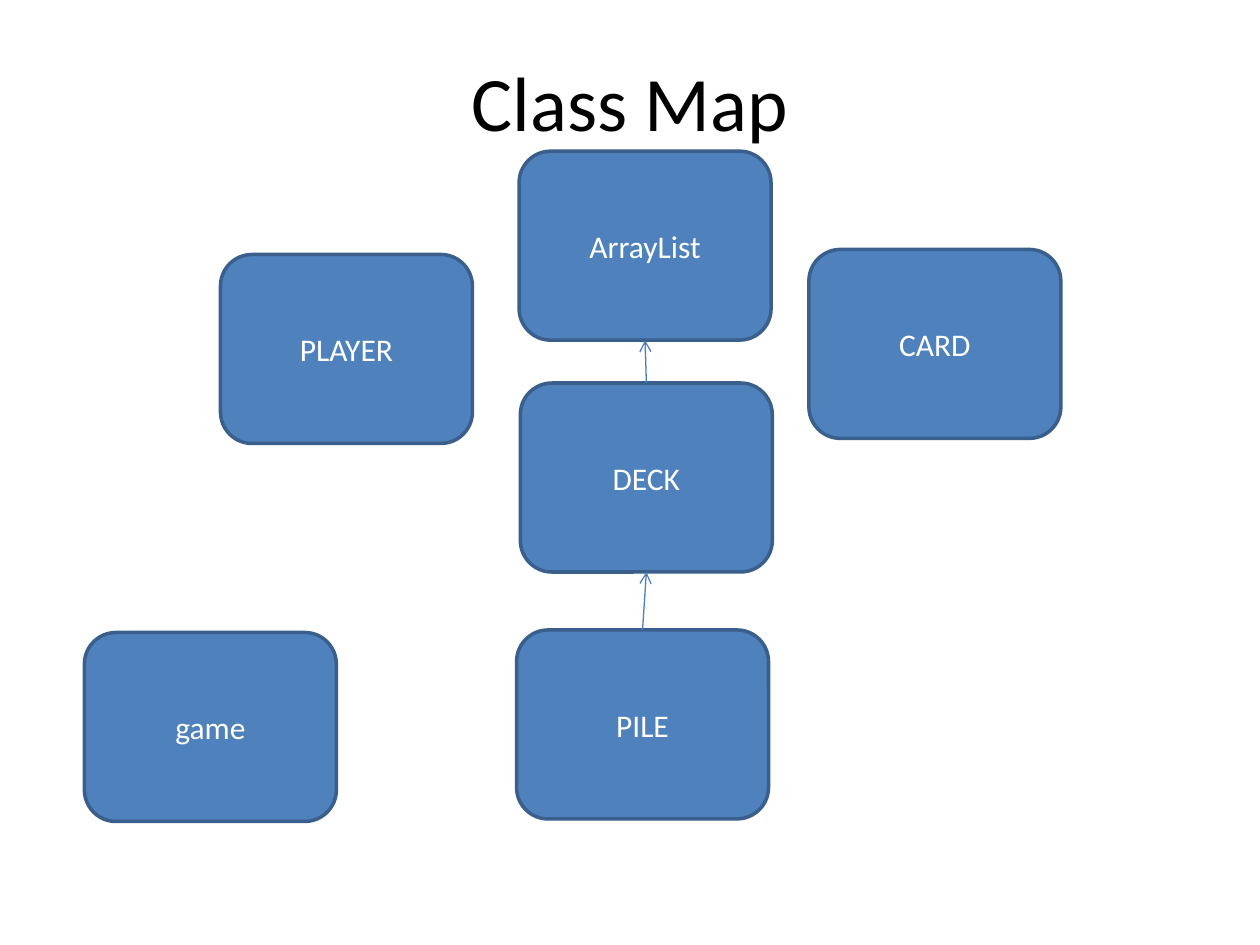
from pptx import Presentation
from pptx import util as u
from pptx.dml.color import RGBColor
from pptx.enum import shapes, text
from pptx.oxml.ns import qn
from lxml import etree

TITLE = "Class Map"
CLASSES = {  # name: (left, top) in inches
    "DECK": (4.13, 3.04),
    "PLAYER": (1.75, 2.02),
    "CARD": (6.42, 1.98),
    "PILE": (4.1, 5),
    "ArrayList": (4.12, 1.2),
    "game": (0.67, 5.02),
}
PARENTS = [("DECK", "ArrayList"), ("PILE", "DECK")]
BOX = u.Inches(2), u.Inches(1.5)
TOP, BOTTOM = 0, 2  # connection sites

FONT = "Calibri"
BLUE = RGBColor(0x4F, 0x81, 0xBD)
EDGE = RGBColor(0x3A, 0x5F, 0x8C)
LINK = RGBColor(0x4B, 0x7E, 0xBC)
WHITE = RGBColor(0xFF, 0xFF, 0xFF)
BLACK = RGBColor(0, 0, 0)


def write(shape, words, size, color):
    """Put one centred line of text in a shape."""
    frame = shape.text_frame
    frame.word_wrap = True
    frame.vertical_anchor = text.MSO_ANCHOR.MIDDLE
    para = frame.paragraphs[0]
    para.text = words
    para.alignment = text.PP_ALIGN.CENTER
    para.font.name = FONT
    para.font.size = u.Pt(size)
    para.font.color.rgb = color


def add_class(slide, name, left, top):
    box = slide.shapes.add_shape(
        shapes.MSO_SHAPE.ROUNDED_RECTANGLE, u.Inches(left), u.Inches(top), *BOX)
    box.shadow.inherit = False
    box.fill.solid()
    box.fill.fore_color.rgb = BLUE
    box.line.color.rgb = EDGE
    box.line.width = u.Pt(2)
    write(box, name, 18, WHITE)
    return box


def add_arrow(slide, child, parent):
    arrow = slide.shapes.add_connector(shapes.MSO_CONNECTOR.STRAIGHT, 0, 0, 0, 0)
    arrow.begin_connect(child, TOP)
    arrow.end_connect(parent, BOTTOM)
    arrow.line.color.rgb = LINK
    arrow.line.width = u.Pt(0.75)
    etree.SubElement(arrow.line._get_or_add_ln(), qn("a:tailEnd"), type="arrow")
    etree.SubElement(arrow._element.spPr, qn("a:effectLst"))


def main():
    deck = Presentation()
    deck.slide_width, deck.slide_height = u.Inches(10), u.Inches(7.5)
    slide = deck.slides.add_slide(deck.slide_layouts[6])
    title = slide.shapes.add_textbox(
        u.Inches(0.5), u.Inches(0.17), u.Inches(9), u.Inches(1.25))
    write(title, TITLE, 44, BLACK)
    boxes = {name: add_class(slide, name, *spot) for name, spot in CLASSES.items()}
    for child, parent in PARENTS:
        add_arrow(slide, boxes[child], boxes[parent])
    deck.save("out.pptx")


if __name__ == "__main__":
    main()
